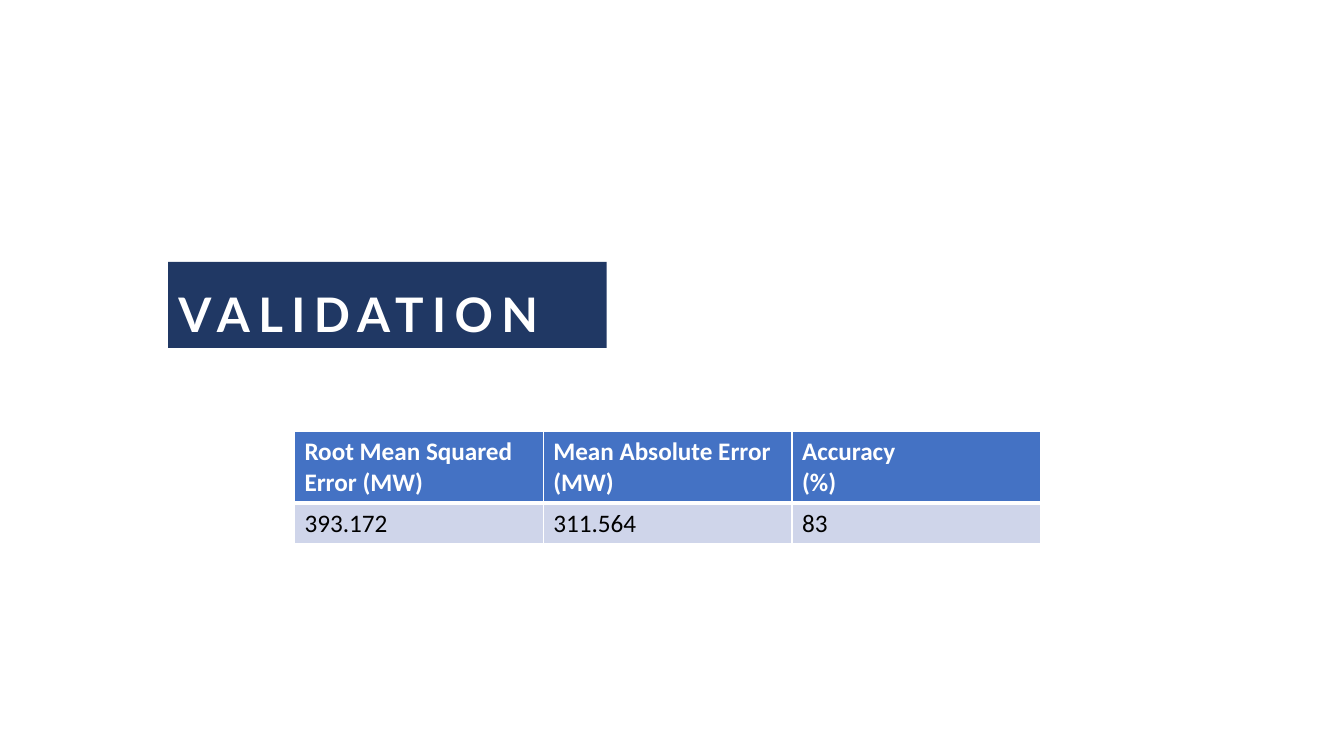
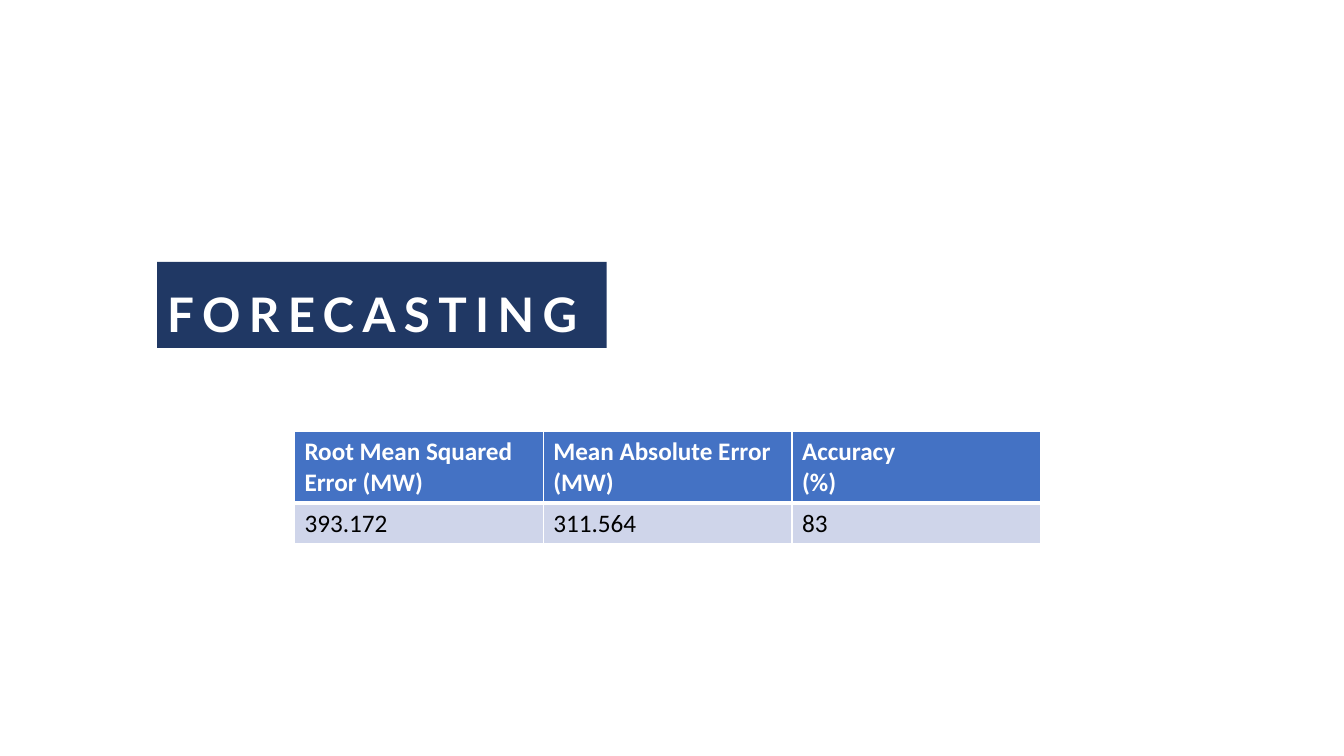
"""Build two result slides, each with a title band and a table of error measures."""
from lxml import etree
from pptx import Presentation
from pptx.dml.color import RGBColor
from pptx.enum import text
from pptx.oxml import ns
from pptx.util import Cm, Pt

NAVY = RGBColor(0x20, 0x38, 0x64)
BLUE = RGBColor(0x44, 0x72, 0xC4)
PALE = RGBColor(0xCF, 0xD5, 0xEA)
WHITE = RGBColor(0xFF, 0xFF, 0xFF)
BLACK = RGBColor(0, 0, 0)

BAND_RIGHT = 15.29
COLUMN_WIDTH = 6.27
HEADER_HEIGHT, VALUE_HEIGHT = 1.78, 1.03

MEASURES = [
    (["Root Mean Squared Error (MW)"], "393.172"),
    (["Mean Absolute Error", "(MW)"], "311.564"),
    (["Accuracy", "(%)"], "83"),
]
SECTIONS = [("VALIDATION", 4.24), ("FORECASTING", 3.96)]


def add_text(paragraph, words, font_name, size, colour, bold):
    """Add one formatted run to a paragraph and return it."""
    run = paragraph.add_run()
    run.text = words
    run.font.name = font_name
    run.font.size = Pt(size)
    run.font.bold = bold
    run.font.color.rgb = colour
    return run


def add_title_band(slide, words, left):
    """Turn the title placeholder into a navy band ending at the shared right edge."""
    band = slide.shapes.title
    band.left, band.top = Cm(left), Cm(6.6)
    band.width, band.height = Cm(BAND_RIGHT - left), Cm(2.17)
    band.fill.solid()
    band.fill.fore_color.rgb = NAVY
    frame = band.text_frame
    frame.auto_size = text.MSO_AUTO_SIZE.NONE
    frame.vertical_anchor = text.MSO_ANCHOR.BOTTOM
    heading = frame.paragraphs[0]
    heading.alignment = text.PP_ALIGN.LEFT
    heading.line_spacing = 0.9
    run = add_text(heading, words, "Lato", 34, WHITE, True)
    run.font._element.set("spc", "600")


def set_borders(cell, top, bottom):
    """Draw white cell borders, 1 pt at the sides and as given above and below."""
    properties = cell._tc.get_or_add_tcPr()
    for side, points in (("L", 1), ("R", 1), ("T", top), ("B", bottom)):
        line = etree.SubElement(properties, ns.qn(f"a:ln{side}"), w=str(Pt(points)))
        fill = etree.SubElement(line, ns.qn("a:solidFill"))
        etree.SubElement(fill, ns.qn("a:srgbClr"), val=str(WHITE))


def fill_cell(cell, lines, fill, colour, bold, borders):
    """Format a table cell and write one paragraph per line."""
    set_borders(cell, *borders)
    cell.fill.solid()
    cell.fill.fore_color.rgb = fill
    frame = cell.text_frame
    for index, words in enumerate(lines):
        paragraph = frame.add_paragraph() if index else frame.paragraphs[0]
        add_text(paragraph, words, "Calibri", 18, colour, bold)


def add_measures_table(slide):
    """Add the table with a header row and a row of values."""
    frame = slide.shapes.add_table(
        2, len(MEASURES), Cm(7.42), Cm(10.87),
        Cm(COLUMN_WIDTH * len(MEASURES)), Cm(HEADER_HEIGHT + VALUE_HEIGHT))
    table = frame.table
    table.rows[0].height = Cm(HEADER_HEIGHT)
    table.rows[1].height = Cm(VALUE_HEIGHT)
    for column, (header, value) in enumerate(MEASURES):
        table.columns[column].width = Cm(COLUMN_WIDTH)
        fill_cell(table.cell(0, column), header, BLUE, WHITE, True, (1, 3))
        fill_cell(table.cell(1, column), [value], PALE, BLACK, False, (3, 1))


def main():
    """Build and save the presentation."""
    deck = Presentation()
    deck.slide_width, deck.slide_height = Cm(33.87), Cm(19.05)
    title_only = deck.slide_layouts[5]
    for words, left in SECTIONS:
        slide = deck.slides.add_slide(title_only)
        add_title_band(slide, words, left)
        add_measures_table(slide)
    deck.save("out.pptx")


if __name__ == "__main__":
    main()
